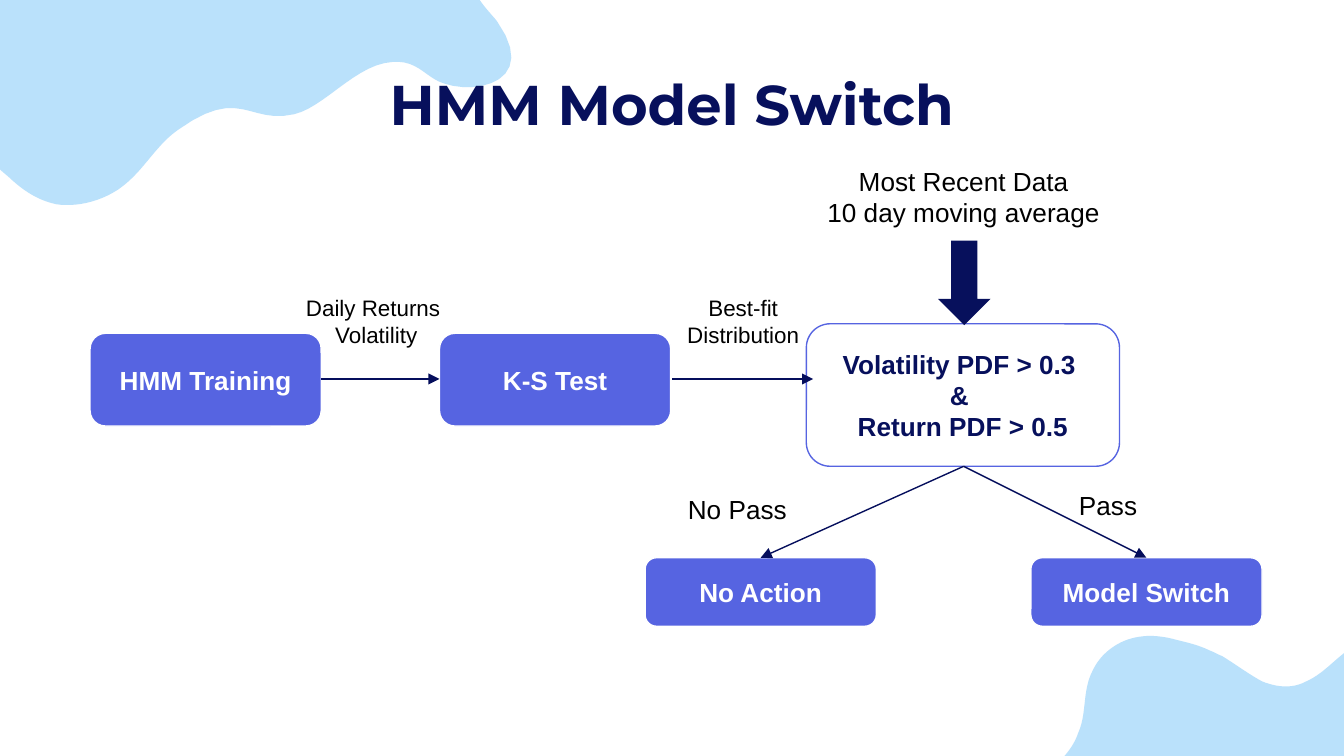
import dataclasses
import typing

import lxml.etree
import pptx
import pptx.dml.color
import pptx.enum.shapes
import pptx.enum.text
import pptx.oxml
import pptx.oxml.ns
import pptx.util

Inches = pptx.util.Inches
Kind = pptx.enum.shapes.MSO_SHAPE
Align = pptx.enum.text.PP_ALIGN
Anchor = pptx.enum.text.MSO_ANCHOR
qn = pptx.oxml.ns.qn
Point = tuple[float, float]

WIDE = 10
HIGH = WIDE * 9 / 16
HUES = {"navy": "07105C", "edge": "050E5C", "blue": "5664E1",
        "sky": "8FCEF9", "white": "FFFFFF", "black": "000000"}


@dataclasses.dataclass
class Box:
    """A rounded step of the flow."""
    text: str
    left: float
    top: float
    width: float = 1.72
    height: float = 0.69
    fill: typing.Optional[str] = "blue"
    line: str = "white"
    ink: str = "white"


@dataclasses.dataclass
class Label:
    """Free text beside the flow."""
    text: str
    left: float
    top: float
    width: float
    height: float
    size: float = 14
    align: Align = Align.CENTER
    wrap: bool = False
    bold: bool = False
    font: str = "Arial"
    ink: str = "black"
    inset: float = 0.05


@dataclasses.dataclass
class Blob:
    """A wavy corner: start, cubic curves, then the slide corner."""
    start: Point
    curves: list[tuple[float, ...]]
    corner: Point


BLOBS = [
    Blob((0, 1.26), [
        (0.03, 1.29, 0.06, 1.31, 0.09, 1.34),
        (0.18, 1.42, 0.28, 1.49, 0.42, 1.52),
        (0.55, 1.54, 0.73, 1.51, 0.88, 1.41),
        (1.06, 1.29, 1.15, 1.09, 1.32, 0.97),
        (1.79, 0.63, 1.85, 0.93, 2.19, 0.85),
        (2.4, 0.8, 2.62, 0.52, 2.86, 0.47),
        (3.1, 0.42, 3.15, 0.57, 3.3, 0.62),
        (3.56, 0.71, 4.01, 0.6, 3.7, 0.16),
        (3.66, 0.11, 3.61, 0.06, 3.57, 0)], (0, 0)),
    Blob((WIDE, 4.86), [
        (9.9, 4.94, 9.83, 5.02, 9.72, 5.07),
        (9.61, 5.13, 9.49, 5.11, 9.39, 5.07),
        (9.28, 5.01, 9.19, 4.94, 9.09, 4.88),
        (9.06, 4.87, 9.03, 4.85, 9, 4.84),
        (8.92, 4.8, 8.83, 4.78, 8.75, 4.76),
        (8.64, 4.73, 8.53, 4.72, 8.42, 4.75),
        (8.31, 4.78, 8.19, 4.86, 8.13, 4.99),
        (8.05, 5.14, 8.09, 5.31, 8.02, 5.46),
        (8, 5.52, 7.96, 5.58, 7.92, HIGH)], (WIDE, HIGH)),
]
BOXES = [
    Box("HMM Training", 0.67, 2.48),
    Box("K-S Test", 3.27, 2.48),
    Box("Volatility PDF > 0.3 \n& \nReturn PDF > 0.5", 6, 2.41, 2.33, 1.06,
        None, "blue", "navy"),
    Box("No Action", 4.8, 4.15, height=0.51),
    Box("Model Switch", 7.67, 4.15, height=0.51),
]
LINKS = [((2.39, 2.82), (3.27, 2.82)), ((5, 2.82), (6.05, 2.82)),
         ((7.17, 3.47), (5.66, 4.15)), ((7.17, 3.47), (8.53, 4.15))]
LABELS = [
    Label("HMM Model Switch", 0.5, 0.42, 9, 0.63, 30, wrap=True, bold=True,
          font="Montserrat", ink="navy", inset=0.1),
    Label("Daily Returns \nVolatility", 2.17, 2.14, 1.26, 0.5, 12),
    Label("Most Recent Data\n10 day moving average", 6.05, 1.18, 2.24, 0.57),
    Label("No Pass", 5.02, 3.62, 0.94, 0.34, align=Align.LEFT),
    Label("Pass", 7.93, 3.59, 0.64, 0.34, align=Align.LEFT),
    Label("Best-fit\nDistribution", 4.72, 2.14, 1.62, 0.5, 12, wrap=True),
]


def tint(name: str) -> pptx.dml.color.RGBColor:
    """Look up a colour."""
    return pptx.dml.color.RGBColor.from_string(HUES[name])


def paint(shape, fill: typing.Optional[str], line: typing.Optional[str] = None) -> None:
    """Set fill, outline and shadow."""
    shape.shadow.inherit = False
    if fill:
        shape.fill.solid()
        shape.fill.fore_color.rgb = tint(fill)
    else:
        shape.fill.background()
    if line:
        shape.line.color.rgb = tint(line)
        shape.line.width = pptx.util.Pt(0.75)
    else:
        shape.line.fill.background()


def write(frame, text: str, size: float, ink: str, bold: bool,
          font: str = "Arial", align: Align = Align.CENTER) -> None:
    """Fill a text frame, one paragraph a line."""
    frame.text = text
    for para in frame.paragraphs:
        para.alignment = align
        para.font.size = pptx.util.Pt(size)
        para.font.name = font
        para.font.bold = bold
        para.font.color.rgb = tint(ink)


def trace(blob: Blob, steps: int = 12) -> list[Point]:
    """Turn the curves of a blob into points."""
    points = [blob.start]
    for ax, ay, bx, by, cx, cy in blob.curves:
        x, y = points[-1]
        for step in range(1, steps + 1):
            t = step / steps
            u = 1 - t
            w = (u ** 3, 3 * u * u * t, 3 * u * t * t, t ** 3)
            points.append((w[0] * x + w[1] * ax + w[2] * bx + w[3] * cx,
                           w[0] * y + w[1] * ay + w[2] * by + w[3] * cy))
    return points + [blob.corner]


def add_blob(slide, blob: Blob) -> None:
    """Draw a translucent corner."""
    points = [(Inches(x), Inches(y)) for x, y in trace(blob)]
    pen = slide.shapes.build_freeform(*points[0], scale=1.0)
    pen.add_line_segments(points[1:], close=True)
    shape = pen.convert_to_shape()
    paint(shape, "sky")
    hue = shape.fill._xPr.find(".//" + qn("a:srgbClr"))
    lxml.etree.SubElement(hue, qn("a:alpha")).set("val", "61000")


def add_box(slide, box: Box) -> None:
    """Draw a step of the flow."""
    shape = slide.shapes.add_shape(
        Kind.ROUNDED_RECTANGLE, Inches(box.left), Inches(box.top),
        Inches(box.width), Inches(box.height))
    paint(shape, box.fill, box.line)
    frame = shape.text_frame
    frame.word_wrap = True
    frame.vertical_anchor = Anchor.MIDDLE
    frame.margin_left = frame.margin_right = Inches(0.1)
    frame.margin_top = frame.margin_bottom = Inches(0.1)
    write(frame, box.text, 14, box.ink, True)


def add_link(slide, start: Point, end: Point) -> None:
    """Draw a line with an arrowhead at its end."""
    link = slide.shapes.add_connector(
        pptx.enum.shapes.MSO_CONNECTOR.STRAIGHT,
        *(Inches(value) for value in start + end))
    link.line.color.rgb = tint("edge")
    link.line.width = pptx.util.Pt(0.75)
    tail = lxml.etree.SubElement(link.line._get_or_add_ln(), qn("a:tailEnd"))
    tail.set("type", "triangle")
    lxml.etree.SubElement(link._element.spPr, qn("a:effectLst"))


def add_label(slide, label: Label) -> None:
    """Place a text box."""
    frame = slide.shapes.add_textbox(
        Inches(label.left), Inches(label.top),
        Inches(label.width), Inches(label.height)).text_frame
    frame.word_wrap = label.wrap
    frame.margin_top = frame.margin_bottom = Inches(label.inset)
    write(frame, label.text, label.size, label.ink, label.bold,
          label.font, label.align)


def main() -> None:
    """Build the slide."""
    deck = pptx.Presentation()
    deck.slide_width, deck.slide_height = Inches(WIDE), Inches(HIGH)
    slide = deck.slides.add_slide(deck.slide_layouts[6])
    for blob in BLOBS:
        add_blob(slide, blob)
    for box in BOXES:
        add_box(slide, box)
    for start, end in LINKS:
        add_link(slide, start, end)
    arrow = slide.shapes.add_shape(
        Kind.DOWN_ARROW, Inches(6.98), Inches(1.79), Inches(0.39), Inches(0.63))
    paint(arrow, "navy")
    for label in LABELS:
        add_label(slide, label)
    deck.save("out.pptx")


if __name__ == "__main__":
    main()
